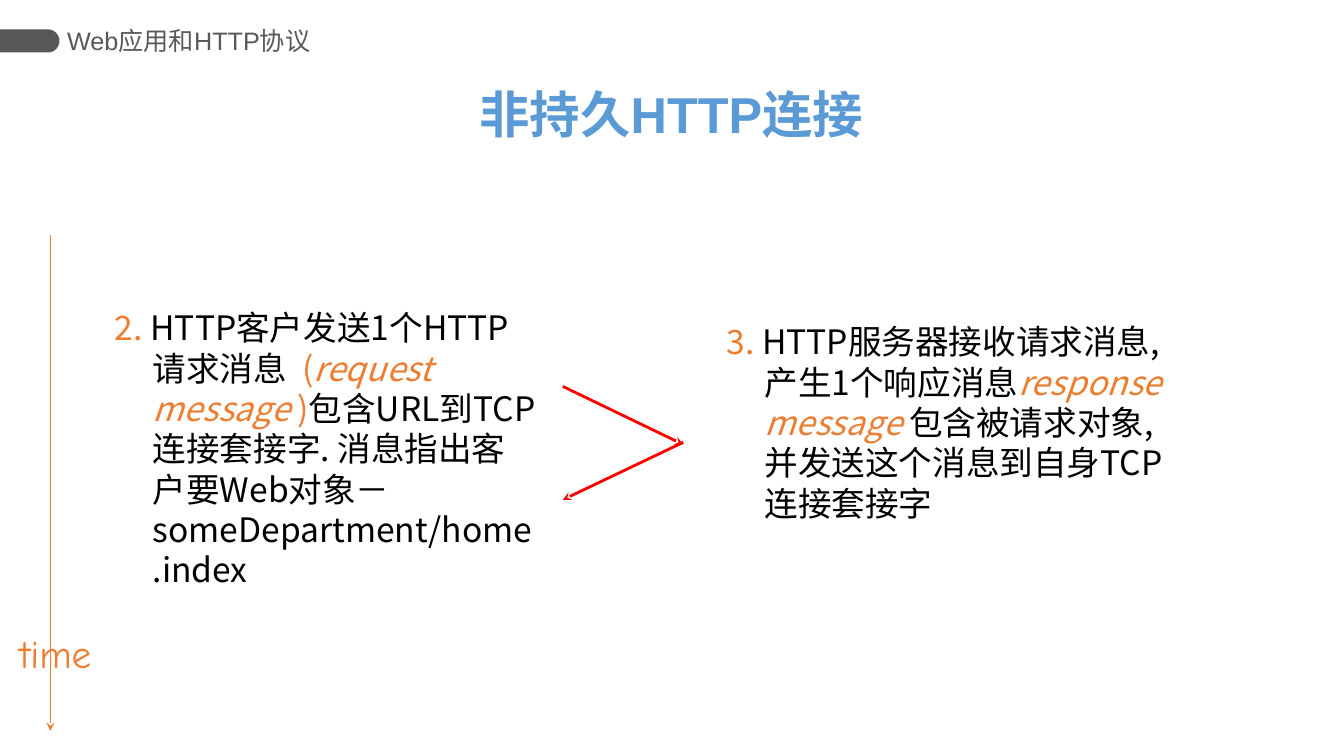
from lxml import etree
from pptx import Presentation
from pptx.dml.color import RGBColor
from pptx.enum.shapes import MSO_CONNECTOR, MSO_SHAPE
from pptx.enum.text import MSO_ANCHOR, PP_ALIGN
from pptx.oxml.ns import qn
from pptx.util import Pt

LEFT, CENTER = PP_ALIGN.LEFT, PP_ALIGN.CENTER
TOP, MIDDLE = MSO_ANCHOR.TOP, MSO_ANCHOR.MIDDLE
ORANGE, BLACK, RED, BLUE = "ED7D31", "000000", "FF0000", "5B9BD5"
GREY, BAR_GREY = "595959", "575757"
CJK = "Noto Sans CJK SC"

# Content: runs are (text, colour, italic); boxes are left, top, width, height
TITLE = [("非持久HTTP连接", BLUE, False)]
HEADER = [("Web应用和HTTP协议", GREY, False)]
TIME = [("time", ORANGE, False)]
STEPS = [
    ((75, 216, 316, 118), [
        ("2. ", ORANGE, False),
        ("HTTP客户发送1个HTTP请求消息  ", BLACK, False),
        ("(", ORANGE, False),
        ("request message ", ORANGE, True),
        (")", ORANGE, False),
        ("包含URL到TCP连接套接字. 消息指出客户要Web对象－someDepartment/home.index",
         BLACK, False)]),
    ((512, 226, 340.5, 142), [
        ("3.", ORANGE, False),
        (" HTTP服务器接收请求消息, 产生1个响应消息", BLACK, False),
        ("response message ", ORANGE, True),
        ("包含被请求对象, 并发送这个消息到自身TCP连接套接字", BLACK, False)]),
]
# Arrows: start, end, colour, width
ARROWS = [
    ((36, 168), (36, 522), ORANGE, 1),
    ((402, 276), (488, 317.5), RED, 2),
    ((488, 316), (402, 357), RED, 2),
]


def rgb(value):
    return RGBColor.from_string(value)


def place(shape, box):
    for name, value in zip(("left", "top", "width", "height"), box):
        setattr(shape, name, Pt(value))


def write(shape, runs, size, font=CJK, bold=False, align=LEFT, anchor=TOP,
          inset=7.2, hang=0, wrap=True):
    tf = shape.text_frame
    frame = {"word_wrap": wrap, "vertical_anchor": anchor,
             "margin_left": Pt(inset), "margin_right": Pt(inset),
             "margin_top": Pt(3.6), "margin_bottom": Pt(3.6)}
    for name, value in frame.items():
        setattr(tf, name, value)
    p = tf.paragraphs[0]
    p.alignment, p.line_spacing = align, Pt(1.2 * size)
    if hang:
        pPr = p._p.get_or_add_pPr()
        pPr.set("marL", str(Pt(hang)))
        pPr.set("indent", str(-Pt(hang)))
    for text, color, italic in runs:
        r = p.add_run()
        r.text = text
        for name, value in {"size": Pt(size), "name": font, "bold": bold,
                            "italic": italic}.items():
            setattr(r.font, name, value)
        r.font.color.rgb = rgb(color)
        etree.SubElement(r._r.get_or_add_rPr(), qn("a:ea"), typeface=CJK)


def add_text(s, box, runs, size, **style):
    write(s.shapes.add_textbox(*map(Pt, box)), runs, size, **style)


def add_arrow(s, start, end, color, width):
    line = s.shapes.add_connector(MSO_CONNECTOR.STRAIGHT, *map(Pt, start + end))
    line.line.color.rgb = rgb(color)
    line.line.width = Pt(width)
    etree.SubElement(line.line._get_or_add_ln(), qn("a:tailEnd"), type="stealth")
    etree.SubElement(line._element.spPr, qn("a:effectLst"))


prs = Presentation()
prs.slide_width, prs.slide_height = Pt(960), Pt(540)
s = prs.slides.add_slide(prs.slide_layouts[5])

# Header: a bar with its rounded end on the right, then the chapter name
bar = s.shapes.add_shape(MSO_SHAPE.ROUND_2_SAME_RECTANGLE,
                         Pt(13), Pt(8), Pt(16.5), Pt(42.5))
bar.rotation = 90
bar.adjustments[0] = 0.5
bar.shadow.inherit = False
bar.fill.solid()
bar.fill.fore_color.rgb = rgb(BAR_GREY)
bar.line.fill.background()
add_text(s, (48, 14, 190, 30), HEADER, 18, font="Arial", anchor=MIDDLE, inset=0)

# Title
place(s.shapes.title, (334, 56, 291, 51))
write(s.shapes.title, TITLE, 36, font="Arial", bold=True, align=CENTER)

# Time axis label, steps and arrows
add_text(s, (3, 446, 73, 41), TIME, 28, font="Comic Neue", align=CENTER, wrap=False)
for box, runs in STEPS:
    add_text(s, box, runs, 24, hang=27)
for arrow in ARROWS:
    add_arrow(s, *arrow)

prs.save("out.pptx")
